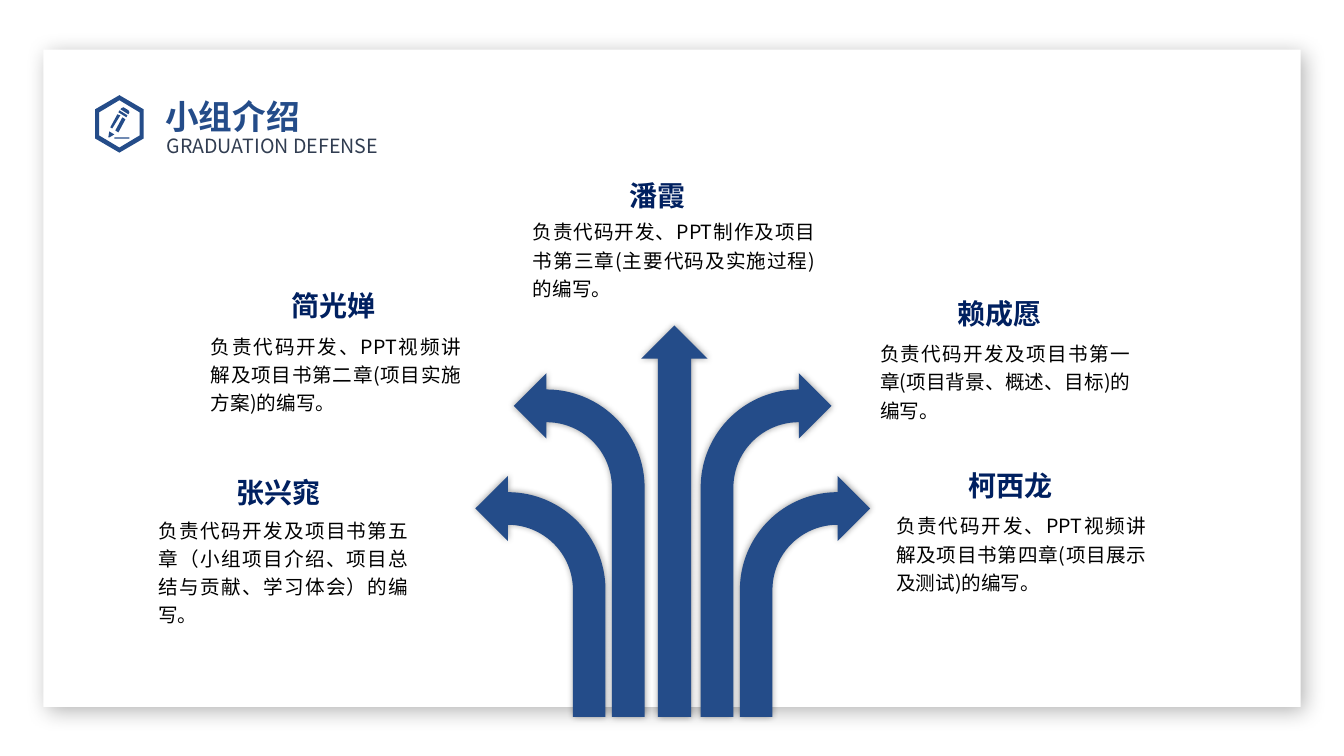
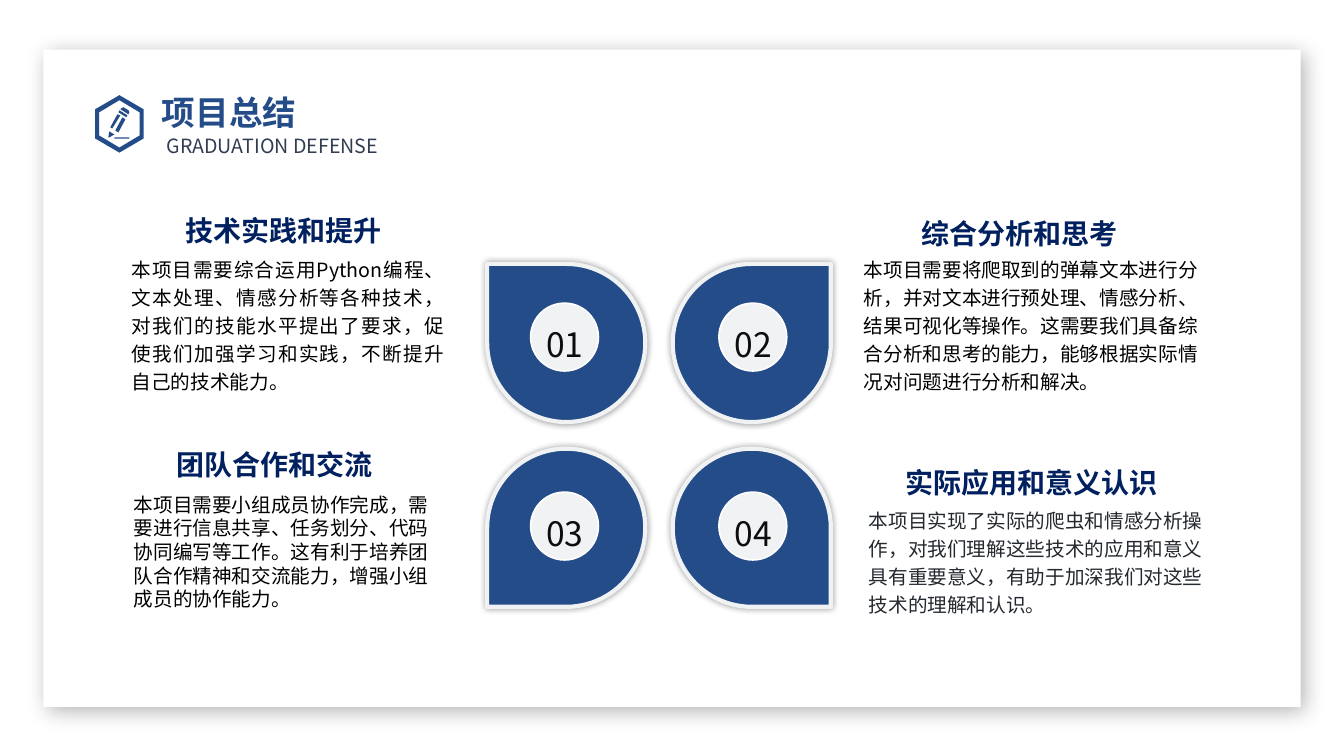
from typing import NamedTuple

from lxml.etree import SubElement
from pptx import Presentation
from pptx.dml.color import RGBColor
from pptx.enum.shapes import MSO_SHAPE as Preset
from pptx.enum.text import MSO_AUTO_SIZE as AutoSize, PP_ALIGN as Align
from pptx.oxml.ns import qn
from pptx.util import Pt

FONT = "Noto Sans CJK SC"
WHITE = RGBColor(0xFF, 0xFF, 0xFF)
BLACK = RGBColor(0x00, 0x00, 0x00)
BLUE = RGBColor(0x24, 0x4C, 0x89)
NAVY = RGBColor(0x00, 0x20, 0x60)
SLATE = RGBColor(0x31, 0x3D, 0x51)
CHARCOAL = RGBColor(0x24, 0x29, 0x2F)
INK = RGBColor(0x0D, 0x0D, 0x0D)
PALE = RGBColor(0xF0, 0xF2, 0xF4)
NEAR_WHITE = RGBColor(0xFE, 0xFE, 0xFE)

TITLE = {"size": Pt(24), "bold": True}
SUBTITLE = {"size": Pt(14)}
HEADING = {"size": Pt(20), "bold": True}
BODY = {"size": Pt(14)}
NUMBER = {"size": Pt(24)}

# Transparency in percent, blur and distance in points, direction in degrees
CARD_SHADOW = (30, 15, 5, 45)
SOFT_SHADOW = (40, 5, 0, 0)

# Contours of the pencil badge on a grid of 48 by 57 units
BADGE_UNIT = Pt(0.72)
BADGE_CONTOURS = [
    [(24, 0), (48, 14), (48, 43), (24, 57), (0, 43), (0, 14)],
    [(24, 5), (44, 17), (44, 40), (24, 52), (4, 40), (4, 17)],
    [(19, 42), (34, 42), (34, 43), (19, 43)],
    [(20, 35), (27, 22), (30, 24), (23, 37)],
    [(15, 32), (22, 19), (25, 20), (17, 33)],
    [(13, 42), (14, 36), (19, 39), (14, 42)],
    [(24, 15), (23, 17), (31, 22), (32, 20)],
    [(26, 13), (28, 12), (33, 15), (34, 17), (33, 19), (25, 14)],
]


class Section(NamedTuple):
    """A body box, and a heading box (left, top, width) measured from its corner."""
    heading: str
    body: str
    body_box: tuple
    heading_box: tuple
    heading_align: Align = Align.CENTER
    heading_wrap: bool = False
    body_align: Align = Align.JUSTIFY
    body_color: RGBColor = BLACK
    body_spacing: float = 1.2


MEMBERS = [
    Section("张兴窕", "负责代码开发及项目书第五章（小组项目介绍、项目总结与贡献、学习体会）的编写。",
            (106, 363.5, 193, 86), (55, -32.5, 76)),
    Section("简光婵", "负责代码开发、PPT视频讲解及项目书第二章(项目实施方案)的编写。",
            (143.5, 232, 193, 65.5), (57, -34.5, 75)),
    Section("潘霞", "负责代码开发、PPT制作及项目书第三章(主要代码及实施过程)的编写。",
            (373.5, 150.5, 216, 86), (65.5, -31.5, 62)),
    Section("赖成愿", "负责代码开发及项目书第一章(项目背景、概述、目标)的编写。",
            (621.5, 237.5, 193, 65.5), (54.5, -34, 76)),
    Section("柯西龙", "负责代码开发、PPT视频讲解及项目书第四章(项目展示及测试)的编写。",
            (633, 360.5, 193, 65.5), (51, -34.5, 76)),
]

CONCLUSIONS = [
    Section("技术实践和提升",
            "本项目需要综合运用Python编程、文本处理、情感分析等各种技术，对我们的技能水平"
            "提出了要求，促使我们加强学习和实践，不断提升自己的技术能力。",
            (87, 177, 237.5, 106.5), (0, -33, 193), Align.RIGHT, True),
    Section("综合分析和思考",
            "本项目需要将爬取到的弹幕文本进行分析，并对文本进行预处理、情感分析、结果可视化等操作。"
            "这需要我们具备综合分析和思考的能力，能够根据实际情况对问题进行分析和解决。",
            (610, 177, 262, 106.5), (41, -31, 177), Align.LEFT, True, Align.LEFT),
    Section("团队合作和交流",
            "本项目需要小组成员协作完成，需要进行信息共享、任务划分、代码协同编写等工作。"
            "这有利于培养团队合作精神和交流能力，增强小组成员的协作能力。",
            (88.5, 348.5, 236, 92), (20, -37.5, 165), Align.RIGHT, True, Align.LEFT,
            body_spacing=1.0),
    Section("实际应用和意义认识",
            "本项目实现了实际的爬虫和情感分析操作，对我们理解这些技术的应用和意义具有重要意义，"
            "有助于加深我们对这些技术的理解和认识。",
            (613.5, 356.5, 262, 86), (26, -32.5, 212), Align.LEFT, True, Align.LEFT, CHARCOAL),
]


def set_attributes(target, values):
    for name, value in values.items():
        setattr(target, name, value)


def add_shadow(shape, transparency, blur, distance, direction):
    effects = shape._element.spPr.find(qn("a:effectLst"))
    shadow = SubElement(effects, qn("a:outerShdw"), {
        "blurRad": str(Pt(blur)), "dist": str(Pt(distance)),
        "dir": str(direction * 60000), "algn": "ctr", "rotWithShape": "0"})
    color = SubElement(shadow, qn("a:srgbClr"), val="000000")
    SubElement(color, qn("a:alpha"), val=str(transparency * 1000))


def paint(shape, fill, line=None, line_width=0, shadow=None):
    shape.shadow.inherit = False
    shape.fill.solid()
    shape.fill.fore_color.rgb = fill
    if line is None:
        shape.line.fill.background()
    else:
        shape.line.color.rgb = line
        shape.line.width = Pt(line_width)
    if shadow:
        add_shadow(shape, *shadow)


def add_preset(slide, preset, box, fill, flip_h=False, flip_v=False, **look):
    shape = slide.shapes.add_shape(preset, *map(Pt, box))
    paint(shape, fill, **look)
    for name, flipped in (("flipH", flip_h), ("flipV", flip_v)):
        if flipped:
            shape._element.spPr.find(qn("a:xfrm")).set(name, "1")
    return shape


def add_text(slide, box, text, style, color, align=Align.LEFT, spacing=1.2,
             wrap=True, grow=True, frame_format=None):
    shape = slide.shapes.add_textbox(*map(Pt, box))
    frame = shape.text_frame
    set_attributes(frame, {
        "word_wrap": wrap,
        "auto_size": AutoSize.SHAPE_TO_FIT_TEXT if grow else AutoSize.NONE,
        **(frame_format or {})})
    paragraph = frame.paragraphs[0]
    set_attributes(paragraph, {"alignment": align, "line_spacing": spacing})
    run = paragraph.add_run()
    run.text = text
    set_attributes(run.font, {"name": FONT, **style})
    run.font.color.rgb = color
    SubElement(run._r.get_or_add_rPr(), qn("a:ea"), typeface=FONT)


def add_badge(slide, left, top):
    first, *others = BADGE_CONTOURS
    builder = slide.shapes.build_freeform(*first[0], scale=BADGE_UNIT)
    builder.add_line_segments(first[1:], close=True)
    for contour in others:
        builder.move_to(*contour[0])
        builder.add_line_segments(contour[1:], close=True)
    paint(builder.convert_to_shape(Pt(left), Pt(top)), BLUE)


def add_base_slide(presentation, title, title_box):
    """Add a slide with the card, the badge, the title and the subtitle."""
    slide = presentation.slides.add_slide(presentation.slide_layouts[6])
    add_preset(slide, Preset.RECTANGLE, (31, 35.5, 898, 469.5), WHITE, shadow=CARD_SHADOW)
    add_badge(slide, 68, 68)
    no_margins = {"margin_left": 0, "margin_top": 0, "margin_right": 0, "margin_bottom": Pt(3.6)}
    add_text(slide, (119, 89.5, 156, 24.5), "GRADUATION DEFENSE", SUBTITLE, SLATE,
             spacing=Pt(23), frame_format=no_margins)
    add_text(slide, title_box, title, TITLE, BLUE, grow=False)
    return slide


def add_section(slide, section):
    left, top, _, _ = section.body_box
    dx, dy, width = section.heading_box
    add_text(slide, (left + dx, top + dy, width, 32.5), section.heading, HEADING, NAVY,
             section.heading_align, wrap=section.heading_wrap)
    add_text(slide, section.body_box, section.body, BODY, section.body_color,
             section.body_align, section.body_spacing)


def add_arrow_tree(slide, box):
    """Draw two mirrored pairs of bent arrows around an upright one."""
    left, top, width, height = box
    centre, bottom = left + width / 2, top + height
    for gap, arrow_width, arrow_height in ((20, 93.5, 245.5), (48, 93, 172)):
        for mirrored in (False, True):
            x = centre - gap - arrow_width if mirrored else centre + gap
            arrow = add_preset(slide, Preset.BENT_ARROW,
                               (x, bottom - arrow_height, arrow_width, arrow_height),
                               BLUE, flip_h=mirrored, shadow=SOFT_SHADOW)
            for index, value in enumerate((0.25, 0.25, 0.25, 0.75)):
                arrow.adjustments[index] = value
    add_preset(slide, Preset.UP_ARROW, (centre - 22.5, top, 47.5, height), BLUE,
               shadow=SOFT_SHADOW)


def add_petals(slide, left, top):
    """Draw four numbered teardrops whose points face outwards."""
    for index in range(4):
        row, column = divmod(index, 2)
        add_preset(slide, Preset.TEAR, (left + 132.5 * column, top + 132 * row, 113, 113), BLUE,
                   flip_h=column == 0, flip_v=row == 1, line=PALE, line_width=3,
                   shadow=SOFT_SHADOW)
        x, y = left + 31 + 134.5 * column, top + 28 + 135 * row
        add_preset(slide, Preset.OVAL, (x, y, 48.5, 48.5), PALE,
                   line=NEAR_WHITE, line_width=1.13)
        add_text(slide, (x + 4, y + 5.5, 43, 39), f"{index + 1:02}", NUMBER, INK, wrap=False)


def build_team_slide(presentation):
    slide = add_base_slide(presentation, "小组介绍", (111, 59, 286, 36))
    add_arrow_tree(slide, (339.5, 232.5, 282, 279.5))
    for member in MEMBERS:
        add_section(slide, member)


def build_summary_slide(presentation):
    slide = add_base_slide(presentation, "项目总结", (108.5, 56, 342, 36))
    add_petals(slide, 348, 188.5)
    for conclusion in CONCLUSIONS:
        add_section(slide, conclusion)


def main():
    presentation = Presentation()
    set_attributes(presentation, {"slide_width": Pt(960), "slide_height": Pt(540)})
    build_team_slide(presentation)
    build_summary_slide(presentation)
    presentation.save("out.pptx")


if __name__ == "__main__":
    main()
